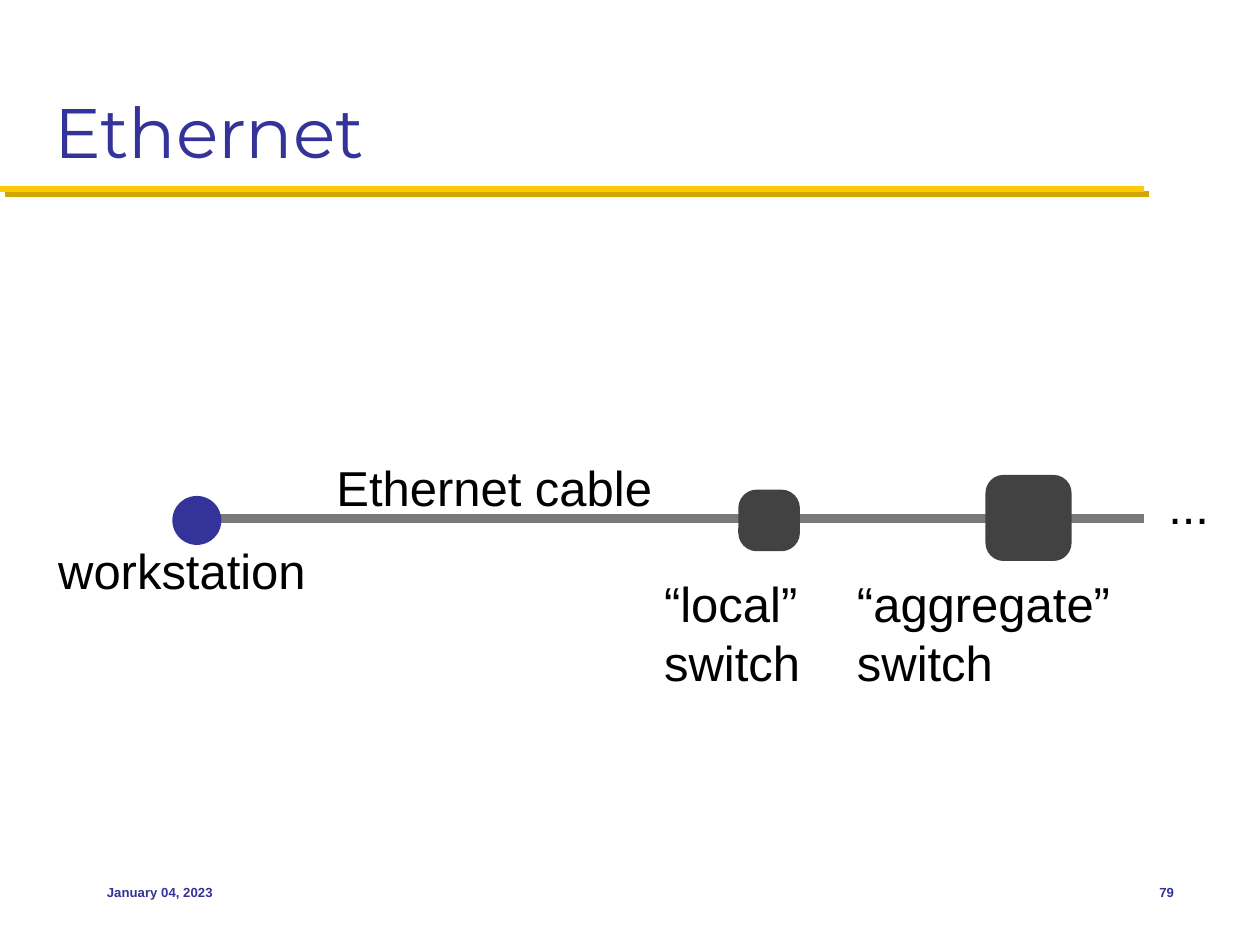
from lxml import etree
from pptx import Presentation
from pptx.dml.color import RGBColor
from pptx.enum import shapes, text
from pptx.oxml import ns
from pptx.util import Pt

INDIGO = RGBColor(0x33, 0x33, 0x99)
GOLD = RGBColor(0xFF, 0xCB, 0x05)
GRAY = RGBColor(0x79, 0x79, 0x79)
CHARCOAL = RGBColor(0x42, 0x42, 0x42)
BLACK = RGBColor(0, 0, 0)

presentation = Presentation()
presentation.slide_width = Pt(720)
presentation.slide_height = Pt(540)
slide = presentation.slides.add_slide(presentation.slide_layouts[5])


def add_line(left, right, y, color, width):
    line = slide.shapes.add_connector(
        shapes.MSO_CONNECTOR.STRAIGHT, Pt(left), Pt(y), Pt(right), Pt(y))
    line.line.color.rgb = color
    line.line.width = Pt(width)
    return etree.SubElement(line._element.spPr, ns.qn("a:effectLst"))


def add_text(words, left, top, width, height, size, color, inset):
    box = slide.shapes.add_textbox(Pt(left), Pt(top), Pt(width), Pt(height))
    frame = box.text_frame
    frame.word_wrap = True
    frame.vertical_anchor = text.MSO_ANCHOR.MIDDLE
    frame.margin_left = frame.margin_right = Pt(inset)
    frame.margin_top = frame.margin_bottom = Pt(3)
    frame.text = words
    paragraph = frame.paragraphs[0]
    font = paragraph.runs[0].font
    font.name = "Arial"
    font.size = Pt(size)
    font.color.rgb = color
    return paragraph


effects = add_line(0, 653.75, 108, GOLD, 3.5)
shadow = etree.SubElement(effects, ns.qn("a:outerShdw"), dist=str(Pt(4.2)),
                          dir="2700000", algn="ctr", rotWithShape="0")
etree.SubElement(shadow, ns.qn("a:srgbClr"), val="D3A600")

title = slide.shapes.title
title.left, title.top, title.width, title.height = Pt(24), Pt(12), Pt(672), Pt(90)
title.text_frame.text = "Ethernet"
title.text_frame.vertical_anchor = text.MSO_ANCHOR.BOTTOM
title.text_frame.auto_size = text.MSO_AUTO_SIZE.NONE
heading = title.text_frame.paragraphs[0]
heading.alignment = text.PP_ALIGN.LEFT
font = heading.runs[0].font
font.name = "Montserrat"
font.size = Pt(40)
font.color.rgb = INDIGO

add_line(113.5, 653.75, 296.5, GRAY, 5)

OVAL = shapes.MSO_SHAPE.OVAL
ROUNDED = shapes.MSO_SHAPE.ROUNDED_RECTANGLE
nodes = [
    (OVAL, 112.5, 297.4, 28, INDIGO, None),
    (ROUNDED, 439.5, 297.4, 35.2, CHARCOAL, 0.3),
    (ROUNDED, 587.75, 296, 49.2, CHARCOAL, 0.21),
]
for kind, center_x, center_y, size, color, rounding in nodes:
    node = slide.shapes.add_shape(
        kind, Pt(center_x - size / 2), Pt(center_y - size / 2), Pt(size), Pt(size))
    node.shadow.inherit = False
    node.fill.solid()
    node.fill.fore_color.rgb = color
    node.line.fill.background()
    if rounding:
        node.adjustments[0] = rounding

labels = [
    ("workstation", 30.25, 306, 165, 39.6),
    ("Ethernet cable", 189.25, 258.5, 195, 39.6),
    ("“local” switch", 376.5, 324.7, 124.5, 73.4),
    ("“aggregate” switch", 486.7, 324.7, 202.3, 73.4),
    ("...", 664.6, 268.6, 40, 39.6),
]
for words, left, top, width, height in labels:
    add_text(words, left, top, width, height, 28, BLACK, 3)

footers = [
    ("January 04, 2023", 54, 150, text.PP_ALIGN.LEFT),
    ("79", 630, 48, text.PP_ALIGN.RIGHT),
]
for words, left, width, alignment in footers:
    footer = add_text(words, left, 492, width, 36, 7.5, INDIGO, 7.2)
    footer.alignment = alignment
    footer.runs[0].font.bold = True

presentation.save("out.pptx")
